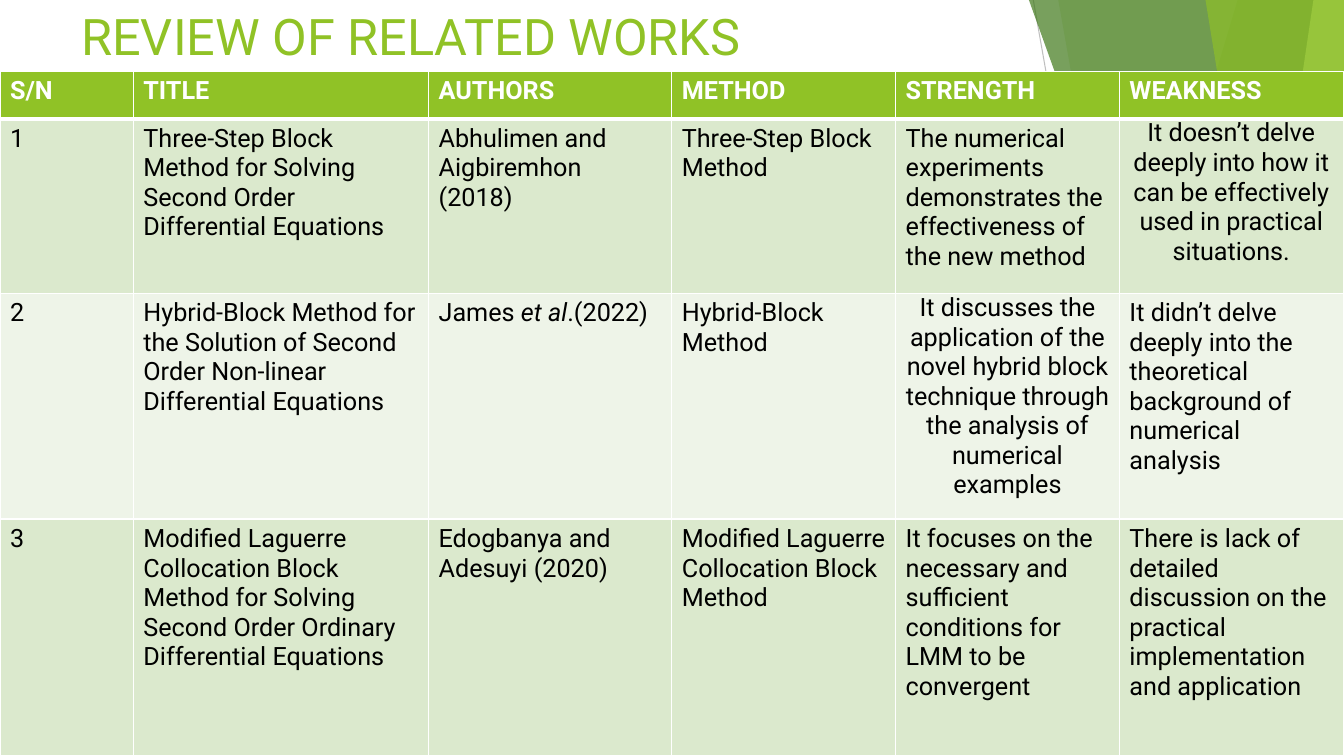
from lxml.etree import SubElement
from pptx import Presentation
from pptx.dml.color import RGBColor
from pptx.enum.shapes import MSO_CONNECTOR as Connector
from pptx.enum.text import MSO_ANCHOR as Anchor, PP_ALIGN as Align
from pptx.oxml.ns import qn
from pptx.util import Cm, Pt

FONT = "Roboto"
WHITE = RGBColor(0xFF, 0xFF, 0xFF)
BLACK = RGBColor(0, 0, 0)
GREY = RGBColor(0xBF, 0xBF, 0xBF)
GREEN = RGBColor(0x90, 0xC2, 0x26)
DARK_GREEN = RGBColor(0x3F, 0x78, 0x19)
LIME = RGBColor(0xC0, 0xE4, 0x74)
BAND = RGBColor(0xDB, 0xE9, 0xCD)
PALE_BAND = RGBColor(0xEE, 0xF4, 0xE8)

WIDTH, HEIGHT = 33.87, 19.05
TABLE_TOP = 1.8
COLUMN_WIDTHS = [3.36, 7.44, 6.13, 5.64, 5.64, 5.64]
ROW_HEIGHTS = [1.19, 4.4, 5.69, 5.97]
CENTRED_CELLS = {(1, 5), (2, 4)}

FACETS = [
    (31.19, 25.5, GREEN, 30),
    (26.67, 30.05, GREEN, 20),
    (25.93, 32.79, DARK_GREEN, 70),
    (33.1, 30.28, LIME, 70),
    (30.38, 33.48, GREEN, 65),
]

WORKS = [
    ["S/N", "TITLE", "AUTHORS", "METHOD", "STRENGTH", "WEAKNESS"],
    ["1",
     "Three-Step Block Method for Solving Second Order Differential Equations",
     "Abhulimen and Aigbiremhon (2018)",
     "Three-Step Block Method",
     "The numerical experiments demonstrates the effectiveness of the new method",
     "It doesn’t delve deeply into how it can be effectively used in practical situations."],
    ["2",
     "Hybrid-Block Method for the Solution of Second Order Non-linear Differential Equations",
     "James *et al*.(2022)",
     "Hybrid-Block Method",
     "It discusses the application of the novel hybrid block technique through "
     "the analysis of numerical examples",
     "It didn’t delve deeply into the theoretical background of numerical analysis"],
    ["3",
     "Modified Laguerre Collocation Block Method for Solving Second Order Ordinary "
     "Differential Equations",
     "Edogbanya and Adesuyi (2020)",
     "Modified Laguerre Collocation Block Method",
     "It focuses on the necessary and sufficient conditions for LMM to be convergent",
     "There is lack of detailed discussion on the practical implementation\n"
     "and application"],
]


def style_span(span, size, color, bold=False, italic=False):
    """Set the font of one run."""
    span.font.name = FONT
    span.font.size = Pt(size)
    span.font.color.rgb = color
    span.font.bold = bold
    span.font.italic = italic


def add_ray(page, start_x, end_x):
    """Draw a thin grey line from the top to the bottom of the slide."""
    ray = page.shapes.add_connector(
        Connector.STRAIGHT, Cm(start_x), Cm(0), Cm(end_x), Cm(HEIGHT))
    ray.line.color.rgb = GREY
    ray.line.width = Pt(0.75)
    SubElement(ray._element.spPr, qn("a:effectLst"))


def add_facet(page, top_x, bottom_x, color, opacity):
    """Draw a see-through panel that reaches the right edge."""
    builder = page.shapes.build_freeform(Cm(top_x), Cm(0))
    corners = [(WIDTH, 0), (WIDTH, HEIGHT), (bottom_x, HEIGHT)]
    builder.add_line_segments([(Cm(x), Cm(y)) for x, y in corners], close=True)
    facet = builder.convert_to_shape()
    facet.shadow.inherit = False
    facet.line.fill.background()
    facet.fill.solid()
    facet.fill.fore_color.rgb = color
    tint = facet._element.spPr.find(".//" + qn("a:srgbClr"))
    SubElement(tint, qn("a:alpha"), val=str(opacity * 1000))


def add_title(page, text):
    """Write the slide heading."""
    box = page.shapes.add_textbox(Cm(1.8), Cm(0), Cm(23.88), Cm(TABLE_TOP))
    frame = box.text_frame
    frame.word_wrap = True
    frame.vertical_anchor = Anchor.TOP
    frame.text = text
    style_span(frame.paragraphs[0].runs[0], 36, GREEN)


def set_borders(cell, top, bottom):
    """Give a cell white borders with the given top and bottom widths."""
    props = cell._tc.get_or_add_tcPr()
    for side, width in (("L", 1), ("R", 1), ("T", top), ("B", bottom)):
        edge = SubElement(props, qn("a:ln" + side), w=str(Pt(width)))
        paint = SubElement(edge, qn("a:solidFill"))
        SubElement(paint, qn("a:srgbClr"), val=str(WHITE))


def write_cell(cell, text, color, bold):
    """Write cell text, with the parts between asterisks in italics."""
    cell.text_frame.text = text.replace("*", "")
    for para, line in zip(cell.text_frame.paragraphs, text.split("\n")):
        parts = line.split("*")
        para.runs[0].text = parts[0]
        for part in parts[1:]:
            para.add_run().text = part
        for index, span in enumerate(para.runs):
            style_span(span, 18, color, bold, index % 2 == 1)


def centre_cell(cell):
    """Centre a cell's text and tighten its margins."""
    cell.margin_left = cell.margin_right = Cm(0.18)
    cell.margin_top = cell.margin_bottom = Cm(0)
    cell.text_frame.paragraphs[0].alignment = Align.CENTER


def add_works_table(page):
    """Build the table of related works."""
    table = page.shapes.add_table(
        len(WORKS), len(COLUMN_WIDTHS), Cm(0), Cm(TABLE_TOP),
        Cm(WIDTH), Cm(sum(ROW_HEIGHTS))).table
    for column, width in zip(table.columns, COLUMN_WIDTHS):
        column.width = Cm(width)
    for row, height in zip(table.rows, ROW_HEIGHTS):
        row.height = Cm(height)
    for r, work in enumerate(WORKS):
        header = r == 0
        fill = GREEN if header else (BAND if r % 2 else PALE_BAND)
        for c, text in enumerate(work):
            cell = table.cell(r, c)
            set_borders(cell, 3 if r == 1 else 1, 3 if header else 1)
            cell.fill.solid()
            cell.fill.fore_color.rgb = fill
            write_cell(cell, text, WHITE if header else BLACK, header)
            if (r, c) in CENTRED_CELLS:
                centre_cell(cell)


def main():
    """Build and save the slide."""
    deck = Presentation()
    deck.slide_width, deck.slide_height = Cm(WIDTH), Cm(HEIGHT)
    page = deck.slides.add_slide(deck.slide_layouts[6])
    add_ray(page, 26.04, 29.41)
    for facet in FACETS:
        add_facet(page, *facet)
    add_title(page, "REVIEW OF RELATED WORKS")
    add_works_table(page)
    deck.save("out.pptx")


if __name__ == "__main__":
    main()
